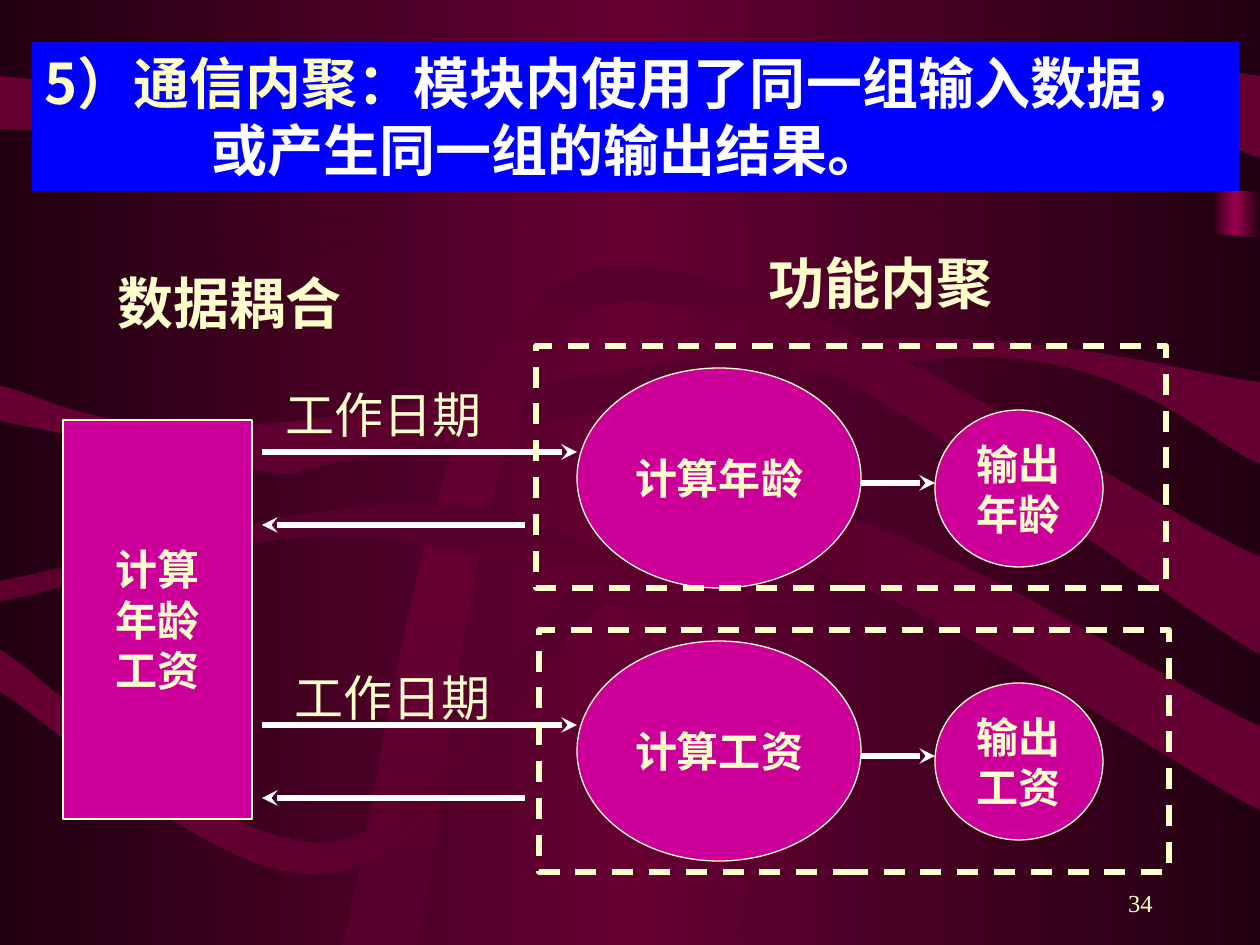
from dataclasses import dataclass
from typing import NamedTuple

from lxml.etree import SubElement
from pptx import Presentation
from pptx.dml.color import RGBColor
from pptx.enum.dml import MSO_LINE
from pptx.enum.shapes import MSO_CONNECTOR, MSO_SHAPE
from pptx.enum.text import MSO_ANCHOR, PP_ALIGN
from pptx.oxml.ns import qn
from pptx.util import Emu, Pt

SCALE = 914400 / 126
W, H = 1260, 945


@dataclass(frozen=True)
class Theme:
    dark: str = "220011"
    wine: str = "660033"
    plum: str = "56002B"
    rose: str = "9C004E"
    node: str = "CC0099"
    cream: str = "FFFFCC"
    white: str = "FFFFFF"
    blue: str = "0000FF"
    serif: str = "Times New Roman"
    sans: str = "Arial"
    cjk: str = "Noto Sans CJK SC"
    title: int = 32
    label: int = 28
    body: int = 24
    number: int = 14
    thin: float = 0.75
    thick: float = 3


T = Theme()


class Box(NamedTuple):
    x: int
    y: int
    w: int
    h: int


class Style(NamedTuple):
    font: str
    size: int
    bold: bool = True
    color: str = T.cream


class Ribbon(NamedTuple):
    edge: str
    middle: str
    upper: list
    lower: list
    angle: int = 0


class Row(NamedTuple):
    top: int
    frame: Box
    label: Box
    step: str
    output: list


NODE = Style(T.serif, T.body)
HEADING = Style(T.sans, T.title)
LABEL = Style(T.sans, T.label, False)
NUMBER = Style(T.serif, T.number, False)
BANNER = Style(T.cjk, T.title)

RIBBONS = [
    Ribbon(T.dark, T.wine, [(0, 0), (W, 0)], [(0, 266), (788, 166), (W, 192)]),
    Ribbon(T.dark, T.wine, [(0, 287), (577, 219), (738, 195), (W, 238)], [(0, H), (W, H)]),
    Ribbon(T.wine, T.dark, [(0, 76), (435, 113), (998, 47), (W, 76)],
           [(0, 129), (388, 137), (1000, 78), (W, 158)]),
    Ribbon(T.wine, T.plum, [(0, 386), (239, 426), (883, 339), (W, 382)],
           [(0, 421), (280, 473), (355, 459), (983, 357), (W, 464)]),
    Ribbon(T.plum, T.wine, [(341, H), (572, 275), (W, 557)],
           [(417, H), (604, 306), (W, 654)], 90),
    Ribbon(T.wine, T.plum, [(0, 650), (344, 840), (708, 493), (W, 726)],
           [(0, 692), (339, 872), (712, 552), (W, 810)]),
    Ribbon(T.plum, T.wine, [(0, 581), (461, 505), (809, 670)],
           [(0, 601), (396, 539), (803, 721), (735, H)], 90),
]

ROWS = [
    Row(368, Box(536, 346, 630, 242), Box(273, 378, 223, 72), "计算年龄", ["输出", "年龄"]),
    Row(641, Box(539, 630, 630, 242), Box(282, 661, 223, 72), "计算工资", ["输出", "工资"]),
]


def px(n: float) -> Emu:
    return Emu(round(n * SCALE))


def rgb(color: str) -> RGBColor:
    return RGBColor.from_string(color)


def gradient(fill, element, edge: str, middle: str, angle: int = 0) -> None:
    fill.gradient()
    fill.gradient_angle = angle
    stops = element.find(".//" + qn("a:gsLst"))
    for old in list(stops):
        stops.remove(old)
    for pos, color in ((0, edge), (50000, middle), (100000, edge)):
        stop = SubElement(stops, qn("a:gs"), pos=str(pos))
        SubElement(stop, qn("a:srgbClr"), val=color)


def smooth(points: list) -> list:
    ends = [points[0], *points, points[-1]]
    curve = []
    for a, b, c, d in zip(ends, ends[1:], ends[2:], ends[3:]):
        curve.append(tuple(round(q + (r - p) / 6) for p, q, r in zip(a, b, c)))
        curve.append(tuple(round(q - (r - p) / 6) for p, q, r in zip(b, c, d)))
        curve.append(c)
    return curve


def add_ribbon(s, ribbon: Ribbon) -> None:
    back = ribbon.lower[::-1]
    upper, lower = smooth(ribbon.upper), smooth(back)
    builder = s.shapes.build_freeform(*ribbon.upper[0], scale=SCALE)
    builder.add_line_segments([*upper, back[0], *lower], close=True)
    sp = builder.convert_to_shape()
    lines = sp._element.findall(".//" + qn("a:lnTo"))
    join = len(upper)
    for start, count in ((0, join), (join + 1, len(lower))):
        for i in range(start, start + count, 3):
            lines[i].tag = qn("a:cubicBezTo")
            for extra in lines[i + 1:i + 3]:
                lines[i].append(extra[0])
                extra.getparent().remove(extra)
    gradient(sp.fill, sp._element, ribbon.edge, ribbon.middle, ribbon.angle)
    sp.line.fill.background()
    sp.shadow.inherit = False


def add_run(p, text: str, style: Style) -> None:
    r = p.add_run()
    r.text = text
    r.font.name = style.font
    r.font.size = Pt(style.size)
    r.font.bold = style.bold
    r.font.color.rgb = rgb(style.color)


def write(tf, lines: list, style: Style, align=PP_ALIGN.LEFT, wrap: bool = False) -> None:
    tf.word_wrap = wrap
    for i, line in enumerate(lines):
        p = tf.add_paragraph() if i else tf.paragraphs[0]
        p.alignment = align
        add_run(p, line, style)


def add_shape(s, kind, box: Box, fill: str = "", line: str = "", width: float = T.thin):
    sp = s.shapes.add_shape(kind, *map(px, box))
    sp.shadow.inherit = False
    if fill:
        sp.fill.solid()
        sp.fill.fore_color.rgb = rgb(fill)
    else:
        sp.fill.background()
    if line:
        sp.line.color.rgb = rgb(line)
        sp.line.width = Pt(width)
    else:
        sp.line.fill.background()
    return sp


def add_node(s, kind, box: Box, lines: list) -> None:
    sp = add_shape(s, kind, box, T.node, T.cream)
    sp.text_frame.vertical_anchor = MSO_ANCHOR.MIDDLE
    write(sp.text_frame, lines, NODE, PP_ALIGN.CENTER)


def add_text(s, box: Box, text: str, style: Style):
    tf = s.shapes.add_textbox(*map(px, box)).text_frame
    write(tf, [text], style)
    return tf


def add_arrow(s, x1: int, x2: int, y: int) -> None:
    cx = s.shapes.add_connector(MSO_CONNECTOR.STRAIGHT, px(x1), px(y), px(x2), px(y))
    cx.line.color.rgb = rgb(T.white)
    cx.line.width = Pt(T.thick)
    SubElement(cx._element.spPr.get_or_add_ln(), qn("a:tailEnd"), type="stealth")
    SubElement(cx._element.spPr, qn("a:effectLst"))


def add_row(s, row: Row) -> None:
    add_node(s, MSO_SHAPE.OVAL, Box(577, row.top, 284, 220), [row.step])
    add_node(s, MSO_SHAPE.OVAL, Box(935, row.top + 42, 168, 157), row.output)
    for x1, x2, dy in ((262, 577, 84), (861, 935, 115), (525, 262, 157)):
        add_arrow(s, x1, x2, row.top + dy)
    add_text(s, row.label, "工作日期", LABEL)
    frame = add_shape(s, MSO_SHAPE.RECTANGLE, row.frame, line=T.cream, width=T.thick)
    frame.line.dash_style = MSO_LINE.DASH


def add_banner(s) -> None:
    tf = add_shape(s, MSO_SHAPE.RECTANGLE, Box(32, 42, 1207, 149), T.blue).text_frame
    tf.vertical_anchor = MSO_ANCHOR.TOP
    plain = BANNER._replace(color=T.white)
    write(tf, ["5）通信内聚："], BANNER, wrap=True)
    add_run(tf.paragraphs[0], "模块内使用了同一组输入数据，", plain)
    p = tf.add_paragraph()
    p.alignment = PP_ALIGN.LEFT
    p._p.get_or_add_pPr().set("marL", str(px(167)))
    add_run(p, "或产生同一组的输出结果。", plain)


def main() -> None:
    prs = Presentation()
    prs.slide_width, prs.slide_height = px(W), px(H)
    s = prs.slides.add_slide(prs.slide_layouts[6])
    gradient(s.background.fill, s._element, T.dark, T.wine)
    glow = add_shape(s, MSO_SHAPE.RECTANGLE, Box(1211, 62, 49, 435))
    gradient(glow.fill, glow._element, T.dark, T.rose)
    for ribbon in RIBBONS:
        add_ribbon(s, ribbon)
    for row in ROWS:
        add_row(s, row)
    add_node(s, MSO_SHAPE.RECTANGLE, Box(63, 420, 189, 399), ["计算", "年龄", "工资"])
    add_text(s, Box(105, 262, 251, 79), "数据耦合", HEADING)
    add_text(s, Box(756, 242, 251, 79), "功能内聚", HEADING)
    add_banner(s)
    tf = add_text(s, Box(903, 861, 262, 63), "34", NUMBER)
    tf.word_wrap = True
    tf.vertical_anchor = MSO_ANCHOR.BOTTOM
    tf.paragraphs[0].alignment = PP_ALIGN.RIGHT
    prs.save("out.pptx")


if __name__ == "__main__":
    main()
